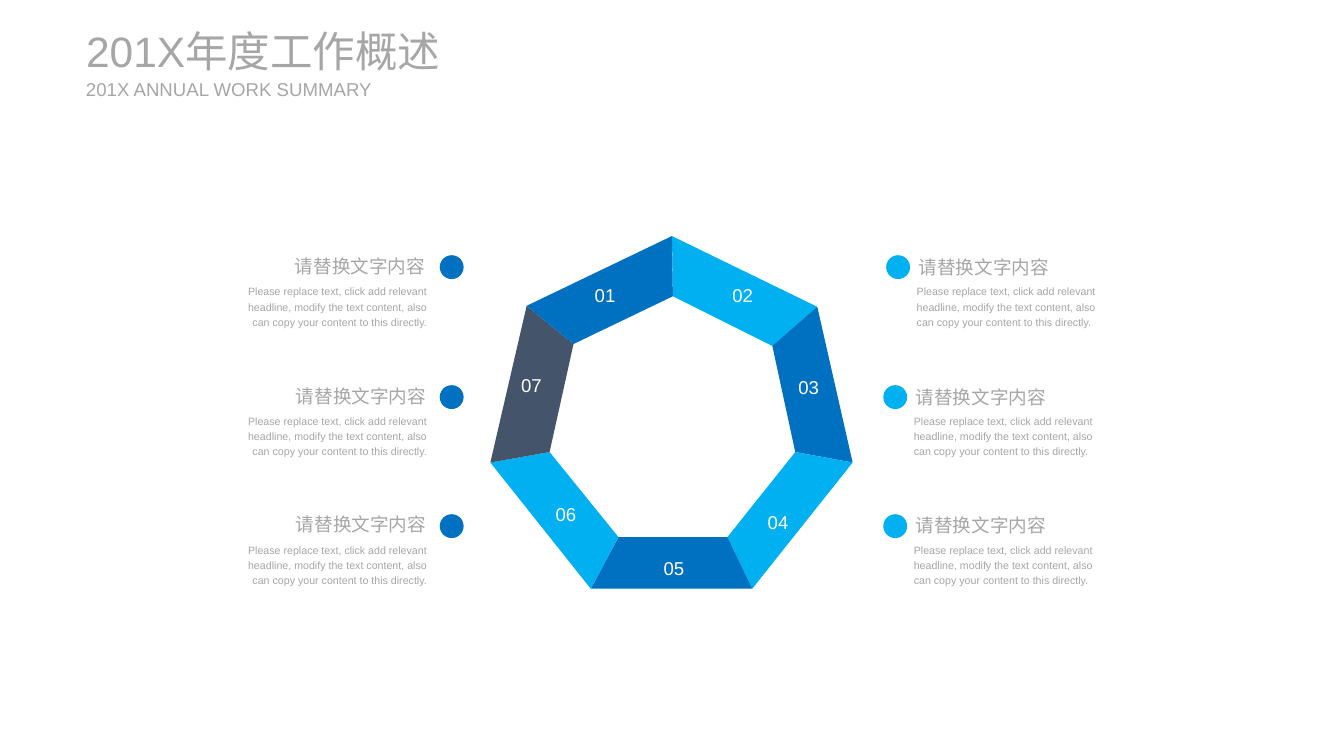
"""Build the annual work summary slide: a numbered heptagon ring with six callouts."""
from pptx import Presentation
from pptx.dml.color import RGBColor
from pptx.enum.shapes import MSO_SHAPE
from pptx.enum.text import MSO_ANCHOR, MSO_AUTO_SIZE, PP_ALIGN
from pptx.util import Pt

PX = 9144
LEFT, CENTER, RIGHT = PP_ALIGN.LEFT, PP_ALIGN.CENTER, PP_ALIGN.RIGHT
TOP, MIDDLE = MSO_ANCHOR.TOP, MSO_ANCHOR.MIDDLE
FIT, NO_FIT = MSO_AUTO_SIZE.SHAPE_TO_FIT_TEXT, MSO_AUTO_SIZE.NONE
OVAL = MSO_SHAPE.OVAL

BLUE = RGBColor(0x00, 0x70, 0xC0)
SKY = RGBColor(0x00, 0xB0, 0xF0)
SLATE = RGBColor(0x44, 0x54, 0x6A)
GRAY = RGBColor(0xA6, 0xA6, 0xA6)
WHITE = RGBColor(0xFF, 0xFF, 0xFF)

HEADING = "请替换文字内容"
BODY = ("Please replace text, click add relevant headline, modify the text "
        "content, also can copy your content to this directly.")

prs = Presentation()
prs.slide_width, prs.slide_height = 1406 * PX, 791 * PX
s = prs.slides.add_slide(prs.slide_layouts[6])


def paint(sp, color=None):
    """Give a shape a flat fill, or none, without line or shadow."""
    sp.shadow.inherit = False
    sp.line.fill.background()
    if color is None:
        sp.fill.background()
    else:
        sp.fill.solid()
        sp.fill.fore_color.rgb = color


def add_text(box, text, size, color=GRAY, inset=0, anchor=MIDDLE, fit=NO_FIT, **para):
    """Add text at box (left, top, width, height): a text box if it fits, else an outline."""
    x, y, w, h = box
    if fit == FIT:
        sp = s.shapes.add_textbox(x * PX, y * PX, w * PX, h * PX)
    else:
        outline = s.shapes.build_freeform(x, y, scale=PX)
        outline.add_line_segments([(x + w, y), (x + w, y + h), (x, y + h)], close=True)
        sp = outline.convert_to_shape()
        paint(sp)
    tf = sp.text_frame
    frame = {"word_wrap": True, "auto_size": fit, "vertical_anchor": anchor}
    for side in ("left", "top", "right", "bottom"):
        frame["margin_" + side] = inset * PX
    for name, value in frame.items():
        setattr(tf, name, value)
    p = tf.paragraphs[0]
    for name, value in para.items():
        setattr(p, name, value)
    r = p.add_run()
    r.text = text
    r.font.name, r.font.size = "Arial", Pt(size)
    r.font.color.rgb = color


outer = [(703, 247), (855, 321), (892, 484), (787, 616), (618, 616), (513, 484), (551, 320)]
inner = [(704, 310), (808, 362), (832, 473), (761, 562), (647, 562), (575, 473), (600, 360)]
ring_colors = [SKY, BLUE, SKY, BLUE, SKY, SLATE, BLUE]
ring = s.shapes.add_group_shape()
for i, color in enumerate(ring_colors):
    j = (i + 1) % len(outer)
    segment = ring.shapes.build_freeform(*outer[i], scale=PX)
    segment.add_line_segments([outer[j], inner[j], inner[i]], close=True)
    paint(segment.convert_to_shape(), color)

number_boxes = [(616, 290, 34), (759, 290, 36), (827, 386, 38), (795, 527, 38),
                (679, 575, 52), (575, 519, 34), (537, 384, 38)]
for number, (x, y, w) in enumerate(number_boxes, 1):
    add_text((x, y, w, 38), f"{number:02}", 14, WHITE, inset=4, alignment=CENTER)

rows = [(263, 296, 267, 295, 959), (399, 431, 403, 296, 956), (533, 566, 538, 296, 956)]
for heading_y, body_y, dot_y, left_x, right_x in rows:
    sides = [
        (RIGHT, (left_x, heading_y, 152, 26), (246, body_y, 201, 60), 460, BLUE),
        (LEFT, (right_x, heading_y, 156, 29), (right_x, body_y, 196, 60), right_x - 32, SKY),
    ]
    for align, heading_box, body_box, dot_x, color in sides:
        add_text(body_box, BODY, 8, anchor=TOP, alignment=align,
                 line_spacing=1.2, space_before=Pt(9))
        add_text(heading_box, HEADING, 14, inset=2, alignment=align, line_spacing=1.2)
        paint(s.shapes.add_shape(OVAL, dot_x * PX, dot_y * PX, 25 * PX, 25 * PX), color)

add_text((90, 26, 432, 54), "201X年度工作概述", 32, fit=FIT)
add_text((90, 81, 307, 24), "201X ANNUAL WORK SUMMARY", 14, fit=FIT)

prs.save("out.pptx")
